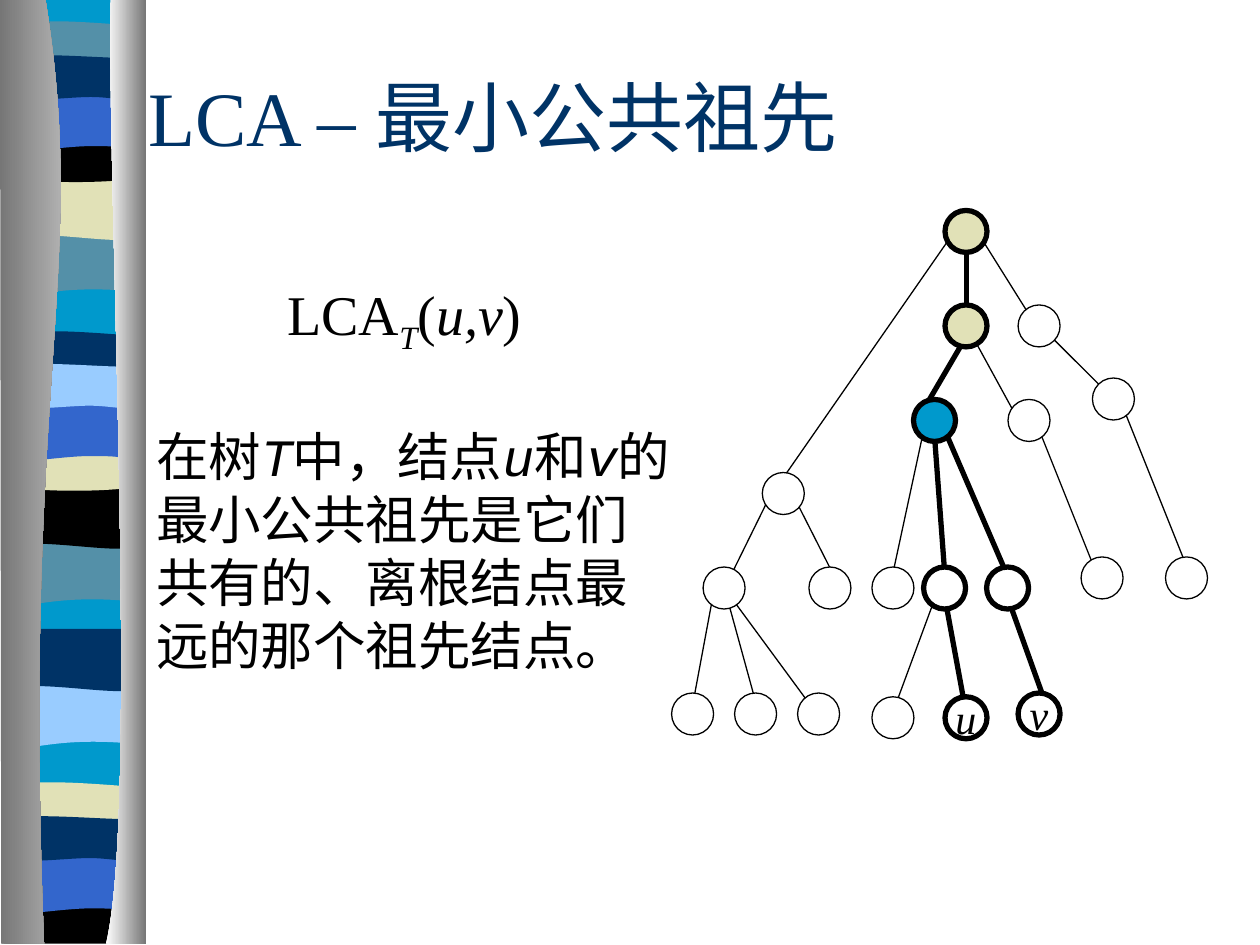
"""Build a slide explaining the lowest common ancestor in a tree."""
from typing import NamedTuple

from lxml.etree import SubElement
from pptx import Presentation
from pptx.dml.color import RGBColor
from pptx.enum.shapes import MSO_CONNECTOR, MSO_SHAPE
from pptx.enum.text import MSO_ANCHOR, PP_ALIGN
from pptx.oxml.ns import qn
from pptx.util import Inches, Pt

BLACK, WHITE, NAVY, BLUE = "000000", "FFFFFF", "003366", "3366CC"
CYAN, TEAL, SAND, SKY, GRAY = "0099CC", "5490A8", "E1E1B7", "99CCFF", "767676"
SERIF, MONO = "Times New Roman", "Courier New"
THIN, THICK = 0.75, 3
NODE_SIZE = 1 / 3

OUTLINES = {
    "back": [(1.08, 0), (1.08, 7.48), (0, 7.48), (0, 0)],
    "wave": [(1.08, 0), (1.08, 0.47), (0.33, 0.39, 0.18, 0.55, 0, 0.47), (0, 0)],
    "swell": [(1.08, 0), (1.08, 0.47), (0.9, 0.55, 0.33, 0.41, 0, 0.47), (0, 0)],
    "lens": [(1.08, 0.05), (1.08, 0.29), (0.9, 0.33, 0.18, 0.33, 0, 0.29), (0, 0.05),
             (0.06, 0, 0.23, 0.01, 0.41, 0.01), (0.59, 0.01, 0.94, 0.04, 1.08, 0.05)],
    "bowl": [(1.08, 0), (1.08, 0.32), (0.9, 0.38, 0.18, 0.38, 0, 0.32), (0, 0),
             (0.66, 0.05, 0.85, 0, 1.08, 0)],
    "arch": [(1.08, 0), (1.08, 0.47), (0.91, 0.42, 0.84, 0.42, 0.66, 0.42),
             (0.48, 0.42, 0.16, 0.47, 0, 0.47), (0, 0)],
    "ripple": [(1.08, 0.05), (1.08, 0.36), (1.01, 0.41, 0.84, 0.36, 0.66, 0.36),
               (0.48, 0.36, 0.11, 0.41, 0, 0.36), (0, 0.05),
               (0.15, 0, 0.73, 0.05, 0.91, 0.05), (1.09, 0.05, 1.04, 0.05, 1.08, 0.05)],
    "base": [(1.08, 0), (1.08, 0.37), (0.01, 0.37), (0, 0), (0.66, 0.05, 0.85, 0, 1.08, 0)],
    "left edge": [(0.36, 0), (0.71, 2.17, 0.17, 2.97, 0.35, 7.5), (0.01, 7.5), (0, 0)],
    "right edge": [(0.88, 0), (0.84, 1.26, 1.11, 6.47, 0.84, 7.5), (1.16, 7.5), (1.16, 0)],
}


class Band(NamedTuple):
    outline: str
    left: float
    top: float
    colors: tuple


class Edge(NamedTuple):
    start: tuple
    end: tuple
    weight: float = THIN


class Node(NamedTuple):
    left: float
    top: float
    color: str = WHITE
    weight: float = THIN
    label: str = ""


class TextRun(NamedTuple):
    text: str
    italic: bool = False
    baseline: int = 0


class Label(NamedTuple):
    box: tuple
    runs: list
    font: dict
    frame: dict
    alignment: PP_ALIGN = PP_ALIGN.LEFT


BANDS = [
    Band("back", 0.06, -0.01, (CYAN,)),
    Band("wave", 0.06, 1.85, (TEAL,)),
    Band("swell", 0.06, 1.41, (SAND,)),
    Band("lens", 0.06, 0.16, (TEAL,)),
    Band("bowl", 0.06, 1.08, (BLACK,)),
    Band("arch", 0.06, 0.74, (BLUE,)),
    Band("ripple", 0.06, 0.41, (NAVY,)),
    Band("wave", 0.05, 4.31, (TEAL,)),
    Band("swell", 0.05, 3.86, (BLACK,)),
    Band("lens", 0.05, 2.62, (NAVY,)),
    Band("bowl", 0.05, 3.53, (SAND,)),
    Band("arch", 0.05, 3.2, (BLUE,)),
    Band("ripple", 0.05, 2.86, (SKY,)),
    Band("wave", 0.06, 5.44, (SKY,)),
    Band("swell", 0.06, 4.99, (NAVY,)),
    Band("lens", 0.05, 6.2, (SAND,)),
    Band("base", 0.05, 7.12, (BLACK,)),
    Band("arch", 0.05, 6.79, (BLUE,)),
    Band("ripple", 0.05, 6.45, (NAVY,)),
    Band("left edge", 0, -0.01, (GRAY, "CCCCCC")),
    Band("right edge", 0, -0.01, (WHITE, GRAY)),
]
EDGES = [
    Edge((7.67, 1.83), (7.67, 2.5), THICK), Edge((7.58, 1.83), (6.19, 3.83)),
    Edge((7.75, 1.83), (8.17, 2.5)), Edge((8.17, 2.5), (8.75, 3.08)),
    Edge((8.92, 3.25), (9.42, 4.5)), Edge((7.67, 2.58), (8.08, 3.33)),
    Edge((7.67, 2.67), (7.33, 3.25), THICK), Edge((6.08, 4), (5.75, 4.67)),
    Edge((6.33, 4), (6.67, 4.67)), Edge((5.75, 4.67), (6.42, 5.58)),
    Edge((5.75, 4.67), (6, 5.58)), Edge((5.67, 4.67), (5.5, 5.58)),
    Edge((7.33, 3.42), (7.08, 4.58)), Edge((7.42, 3.5), (7.5, 4.58), THICK),
    Edge((7.5, 3.42), (8, 4.58), THICK), Edge((8.25, 3.42), (8.75, 4.67)),
    Edge((8, 4.75), (8.33, 5.67), THICK), Edge((7.5, 4.75), (7.67, 5.67), THICK),
    Edge((7.42, 4.75), (7.08, 5.67)),
]
NODES = [
    Node(7.5, 1.67, SAND, THICK), Node(7.5, 2.42, SAND, THICK), Node(8.08, 2.42),
    Node(7.25, 3.17, CYAN, THICK), Node(8, 3.17), Node(8.67, 3), Node(9.25, 4.42),
    Node(8.58, 4.42), Node(7.83, 4.5, WHITE, THICK), Node(7.33, 4.5, WHITE, THICK),
    Node(6.92, 4.5), Node(6.92, 5.53), Node(7.5, 5.53, WHITE, THICK, "u"),
    Node(8.08, 5.5, WHITE, THICK, "v"), Node(6.42, 4.5), Node(6.05, 3.75),
    Node(5.58, 4.5), Node(5.83, 5.5), Node(5.33, 5.5), Node(6.33, 5.5),
]
LABELS = [
    Label((1.08, 0.58, 8.67, 0.67), [TextRun("LCA – 最小公共祖先")],
          {"name": SERIF, "size": Pt(44), "color": NAVY},
          {"word_wrap": True, "vertical_anchor": MSO_ANCHOR.MIDDLE}),
    Label((1.14, 3.32, 4.33, 2.6),
          [TextRun("在树"), TextRun("T", True), TextRun("中，结点"), TextRun("u", True),
           TextRun("和"), TextRun("v", True),
           TextRun("的最小公共祖先是它们共有的、离根结点最远的那个祖先结点。")],
          {"name": MONO, "size": Pt(30), "color": BLACK}, {"word_wrap": True}),
    Label((2.18, 2.17, 2.06, 0.71),
          [TextRun("LCA"), TextRun("T", True, -25000), TextRun("("),
           TextRun("u,v", True), TextRun(")")],
          {"name": SERIF, "size": Pt(32), "color": BLACK}, {"word_wrap": False},
          PP_ALIGN.CENTER),
]


def rgb(color: str) -> RGBColor:
    """Turn a hex string into a colour."""
    return RGBColor.from_string(color)


def bend_curves(shape, outline: list) -> None:
    """Merge each three straight steps of a curved segment into one cubic curve."""
    steps = iter(list(shape._element.iter(qn("a:lnTo"))))
    for segment in outline[1:]:
        first = next(steps)
        if len(segment) == 6:
            first.tag = qn("a:cubicBezTo")
            for step in (next(steps), next(steps)):
                first.append(step[0])
                step.getparent().remove(step)


def draw_band(slide, band: Band) -> None:
    """Draw one piece of the ribbon with a plain or gradient fill."""
    outline = OUTLINES[band.outline]
    points = [(Inches(band.left + segment[index]), Inches(band.top + segment[index + 1]))
              for segment in outline for index in range(0, len(segment), 2)]
    builder = slide.shapes.build_freeform(*points[0])
    builder.add_line_segments(points[1:], close=True)
    shape = builder.convert_to_shape()
    bend_curves(shape, outline)
    shape.shadow.inherit = False
    shape.line.fill.background()
    if len(band.colors) == 1:
        shape.fill.solid()
        shape.fill.fore_color.rgb = rgb(band.colors[0])
        return
    shape.fill.gradient()
    shape.fill.gradient_angle = 0
    for stop, color in zip(shape.fill.gradient_stops, band.colors):
        stop.color.rgb = rgb(color)


def draw_edge(slide, edge: Edge) -> None:
    """Draw one branch of the tree."""
    ends = [Inches(value) for value in edge.start + edge.end]
    connector = slide.shapes.add_connector(MSO_CONNECTOR.STRAIGHT, *ends)
    connector.line.color.rgb = rgb(BLACK)
    connector.line.width = Pt(edge.weight)
    SubElement(connector._element.spPr, qn("a:effectLst"))


def write_text(frame, label: Label) -> None:
    """Write formatted runs into one paragraph without hanging punctuation."""
    for name, value in label.frame.items():
        setattr(frame, name, value)
    paragraph = frame.paragraphs[0]
    paragraph.alignment = label.alignment
    paragraph._p.get_or_add_pPr().set("hangingPunct", "0")
    for text_run in label.runs:
        run = paragraph.add_run()
        run.text = text_run.text
        formats = {**label.font, "italic": text_run.italic}
        run.font.color.rgb = rgb(formats.pop("color"))
        for name, value in formats.items():
            setattr(run.font, name, value)
        if text_run.baseline:
            run._r.get_or_add_rPr().set("baseline", str(text_run.baseline))


def draw_node(slide, node: Node) -> None:
    """Draw one tree node with its letter, if any."""
    box = [Inches(value) for value in (node.left, node.top, NODE_SIZE, NODE_SIZE)]
    shape = slide.shapes.add_shape(MSO_SHAPE.OVAL, *box)
    shape.shadow.inherit = False
    shape.fill.solid()
    shape.fill.fore_color.rgb = rgb(node.color)
    shape.line.color.rgb = rgb(BLACK)
    shape.line.width = Pt(node.weight)
    if node.label:
        write_text(shape.text_frame, Label(
            (), [TextRun(node.label, True)], {"name": SERIF, "size": Pt(24), "color": BLACK},
            {"word_wrap": False, "vertical_anchor": MSO_ANCHOR.MIDDLE}, PP_ALIGN.CENTER))


def draw_label(slide, label: Label) -> None:
    """Draw one text box."""
    box = slide.shapes.add_textbox(*[Inches(value) for value in label.box])
    write_text(box.text_frame, label)


def main() -> None:
    """Build and save the slide."""
    presentation = Presentation()
    presentation.slide_width, presentation.slide_height = Inches(10), Inches(7.5)
    slide = presentation.slides.add_slide(presentation.slide_layouts[6])
    for draw, items in ((draw_band, BANDS), (draw_label, LABELS),
                        (draw_edge, EDGES), (draw_node, NODES)):
        for item in items:
            draw(slide, item)
    presentation.save("out.pptx")


if __name__ == "__main__":
    main()
